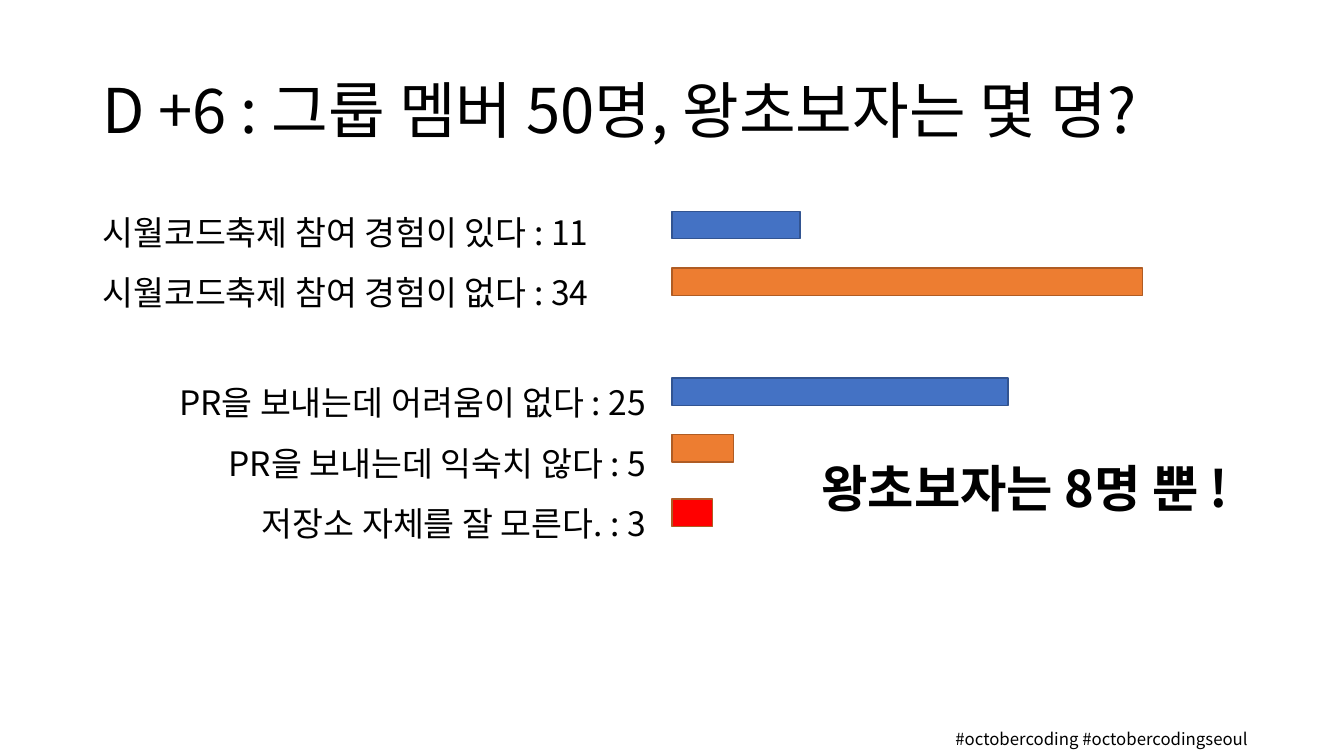
from dataclasses import dataclass

from lxml import etree
from pptx import Presentation
from pptx.dml import color
from pptx.enum import shapes, text
from pptx.oxml import ns
from pptx.util import Pt

FONT = "Noto Sans CJK KR"
HUES = {
    "ink": "000000",
    "blue": "4472C4",
    "navy": "325491",
    "orange": "ED7D31",
    "brown": "AF5C24",
    "red": "FF0000",
}
LEFT, MID, RIGHT = text.PP_ALIGN.LEFT, text.PP_ALIGN.CENTER, text.PP_ALIGN.RIGHT
TOP, HALF = text.MSO_ANCHOR.TOP, text.MSO_ANCHOR.MIDDLE
BAR_X, BAR_H = 480, 19.5


@dataclass
class Label:
    box: tuple[float, float, float, float]
    lines: list[str]
    size: float
    align: text.PP_ALIGN = LEFT
    gap: float = 1.0
    anchor: text.MSO_ANCHOR = TOP
    bold: bool = False


@dataclass
class Bar:
    top: float
    width: float
    fill: str
    edge: str


TITLE = Label((66, 28.8, 828, 104.4), ["D +6 : 그룹 멤버 50명, 왕초보자는 몇 명?"],
              44, gap=0.9, anchor=HALF)

LABELS = [
    Label((66, 133.2, 414, 88.6),
          ["시월코드축제 참여 경험이 있다 : 11", "시월코드축제 참여 경험이 없다 : 34"],
          24, gap=1.5),
    Label((66, 254.9, 402.5, 132.5),
          ["PR을 보내는데 어려움이 없다 : 25", "PR을 보내는데 익숙치 않다 : 5",
           "저장소 자체를 잘 모른다. : 3"],
          24, RIGHT, 1.5),
    Label((579.6, 327.6, 326.9, 70.6), ["왕초보자는 8명 뿐 !"], 36, gap=0.9, bold=True),
    Label((625, 514.8, 324, 25.2), ["#octobercoding #octobercodingseoul"],
          12, MID, anchor=HALF),
]

BARS = [
    Bar(151, 91.5, "blue", "navy"),
    Bar(191.5, 336, "orange", "brown"),
    Bar(270, 240, "blue", "navy"),
    Bar(310.5, 44, "orange", "brown"),
    Bar(356.5, 29, "red", "brown"),
]


def hue(name: str) -> color.RGBColor:
    return color.RGBColor.from_string(HUES[name])


def write(shape, label: Label) -> None:
    """Fill a text shape and format its runs."""
    frame = shape.text_frame
    frame.text = "\n".join(label.lines)
    frame.word_wrap = True
    frame.auto_size = text.MSO_AUTO_SIZE.NONE
    frame.vertical_anchor = label.anchor
    for para in frame.paragraphs:
        para.alignment = label.align
        para.line_spacing = label.gap
        for run in para.runs:
            font = run.font
            font.name, font.size, font.bold = FONT, Pt(label.size), label.bold
            font.color.rgb = hue("ink")
            # Hangul takes the East Asian font
            east = etree.SubElement(run._r.get_or_add_rPr(), ns.qn("a:ea"))
            east.set("typeface", FONT)


def draw_label(slide, label: Label) -> None:
    write(slide.shapes.add_textbox(*map(Pt, label.box)), label)


def draw_bar(slide, bar: Bar) -> None:
    box = map(Pt, (BAR_X, bar.top, bar.width, BAR_H))
    shape = slide.shapes.add_shape(shapes.MSO_SHAPE.RECTANGLE, *box)
    shape.shadow.inherit = False
    shape.fill.solid()
    shape.fill.fore_color.rgb = hue(bar.fill)
    shape.line.color.rgb = hue(bar.edge)
    shape.line.width = Pt(1)


def main() -> None:
    deck = Presentation()
    deck.slide_width, deck.slide_height = Pt(960), Pt(540)
    slide = deck.slides.add_slide(deck.slide_layouts[5])

    # Title
    head = slide.shapes.title
    head.left, head.top, head.width, head.height = map(Pt, TITLE.box)
    write(head, TITLE)

    # Survey bars
    for bar in BARS:
        draw_bar(slide, bar)

    # Answers, conclusion and hashtags
    for label in LABELS:
        draw_label(slide, label)

    deck.save("out.pptx")


if __name__ == "__main__":
    main()
